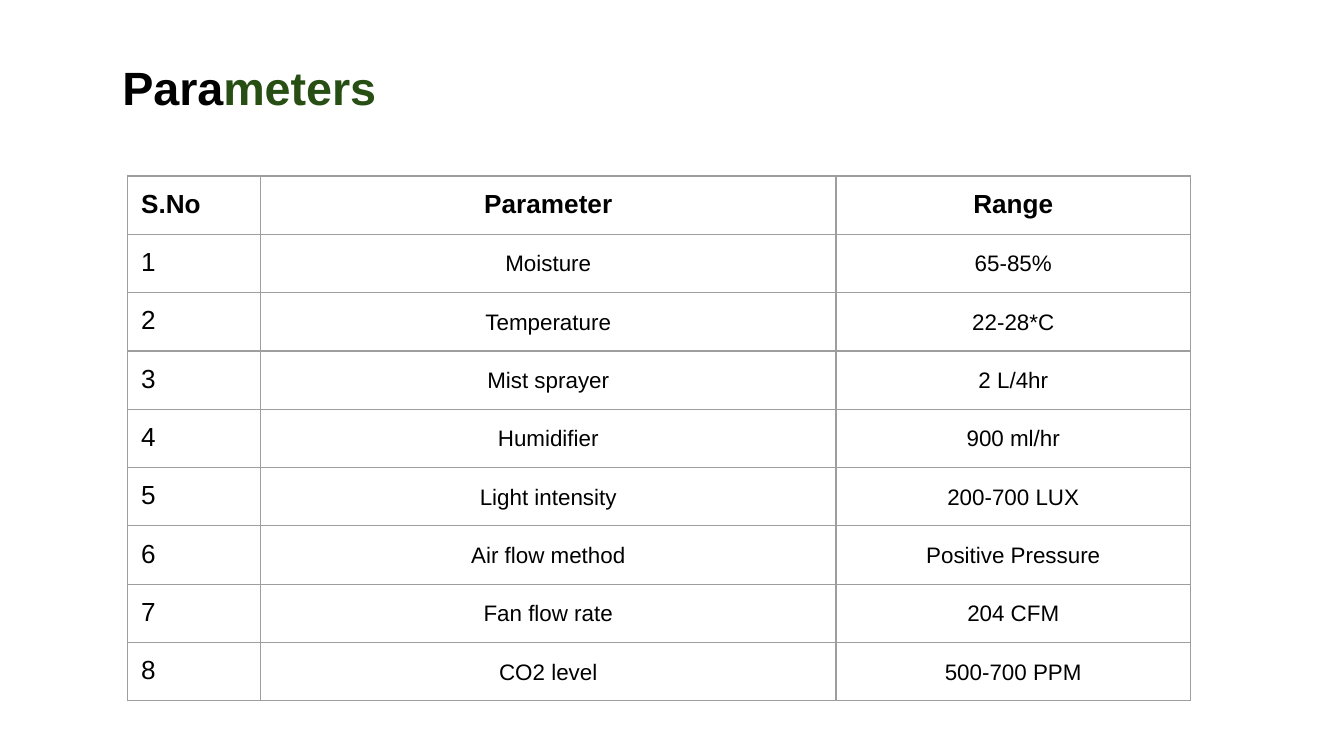
from lxml.etree import SubElement
from pptx import Presentation
from pptx.dml.color import RGBColor
from pptx.enum.text import MSO_ANCHOR, MSO_AUTO_SIZE, PP_ALIGN
from pptx.oxml.ns import qn
from pptx.util import Inches, Pt

BLACK = RGBColor(0x00, 0x00, 0x00)
GREEN = RGBColor(0x27, 0x4E, 0x13)
GRAY = RGBColor(0x9E, 0x9E, 0x9E)

PAD = Inches(0.1)
WIDTHS = [0.99, 4.28, 2.64]
HEIGHT = 3.9
HEAD = ["S.No", "Parameter", "Range"]
ROWS = [
    ("Moisture", "65-85%"),
    ("Temperature", "22-28*C"),
    ("Mist sprayer", "2 L/4hr"),
    ("Humidifier", "900 ml/hr"),
    ("Light intensity", "200-700 LUX"),
    ("Air flow method", "Positive Pressure"),
    ("Fan flow rate", "204 CFM"),
    ("CO2 level", "500-700 PPM"),
]


def apply(item, values):
    for name, value in values.items():
        setattr(item, name, value)


def pad(item):
    apply(item, {"margin_" + side: PAD for side in ("left", "right", "top", "bottom")})


def add_run(para, text, size, bold, color=BLACK):
    run = para.add_run()
    run.text = text
    apply(run.font, {"name": "Arial", "size": Pt(size), "bold": bold})
    run.font.color.rgb = color


def set_title(slide):
    title = slide.shapes.title
    apply(title, {"left": Inches(0.81), "top": Inches(0.34),
                  "width": Inches(5.86), "height": Inches(0.62)})
    frame = title.text_frame
    pad(frame)
    apply(frame, {"word_wrap": True, "vertical_anchor": MSO_ANCHOR.TOP,
                  "auto_size": MSO_AUTO_SIZE.SHAPE_TO_FIT_TEXT})
    para = frame.paragraphs[0]
    para.alignment = PP_ALIGN.LEFT
    for text, color in (("Para", BLACK), ("meters", GREEN)):
        add_run(para, text, 25, True, color)


def add_edges(cell):
    props = cell._tc.get_or_add_tcPr()
    for side in ("lnL", "lnR", "lnT", "lnB"):
        line = SubElement(props, qn("a:" + side), w=str(Pt(0.75)))
        fill = SubElement(line, qn("a:solidFill"))
        SubElement(fill, qn("a:srgbClr"), val=str(GRAY))


def fill_cell(cell, text, head, first):
    pad(cell)
    add_edges(cell)
    cell.fill.background()
    para = cell.text_frame.paragraphs[0]
    para.alignment = PP_ALIGN.LEFT if first else PP_ALIGN.CENTER
    if not (head or first):
        para.line_spacing = 1.15
    add_run(para, text, 14 if head or first else 12, head)


def add_grid(slide):
    data = [HEAD] + [(str(num), *row) for num, row in enumerate(ROWS, 1)]
    frame = slide.shapes.add_table(len(data), len(WIDTHS), Inches(0.95), Inches(1.31),
                                   Inches(sum(WIDTHS)), Inches(HEIGHT))
    table = frame.table
    apply(table, {"first_row": False, "horz_banding": False})
    for col, width in zip(table.columns, WIDTHS):
        col.width = Inches(width)
    for r, (row, texts) in enumerate(zip(table.rows, data)):
        row.height = Inches(HEIGHT / len(data))
        for c, text in enumerate(texts):
            fill_cell(table.cell(r, c), text, r == 0, c == 0)


def main():
    deck = Presentation()
    apply(deck, {"slide_width": Inches(10), "slide_height": Inches(10 * 9 / 16)})
    slide = deck.slides.add_slide(deck.slide_layouts[5])
    set_title(slide)
    add_grid(slide)
    deck.save("out.pptx")


if __name__ == "__main__":
    main()
